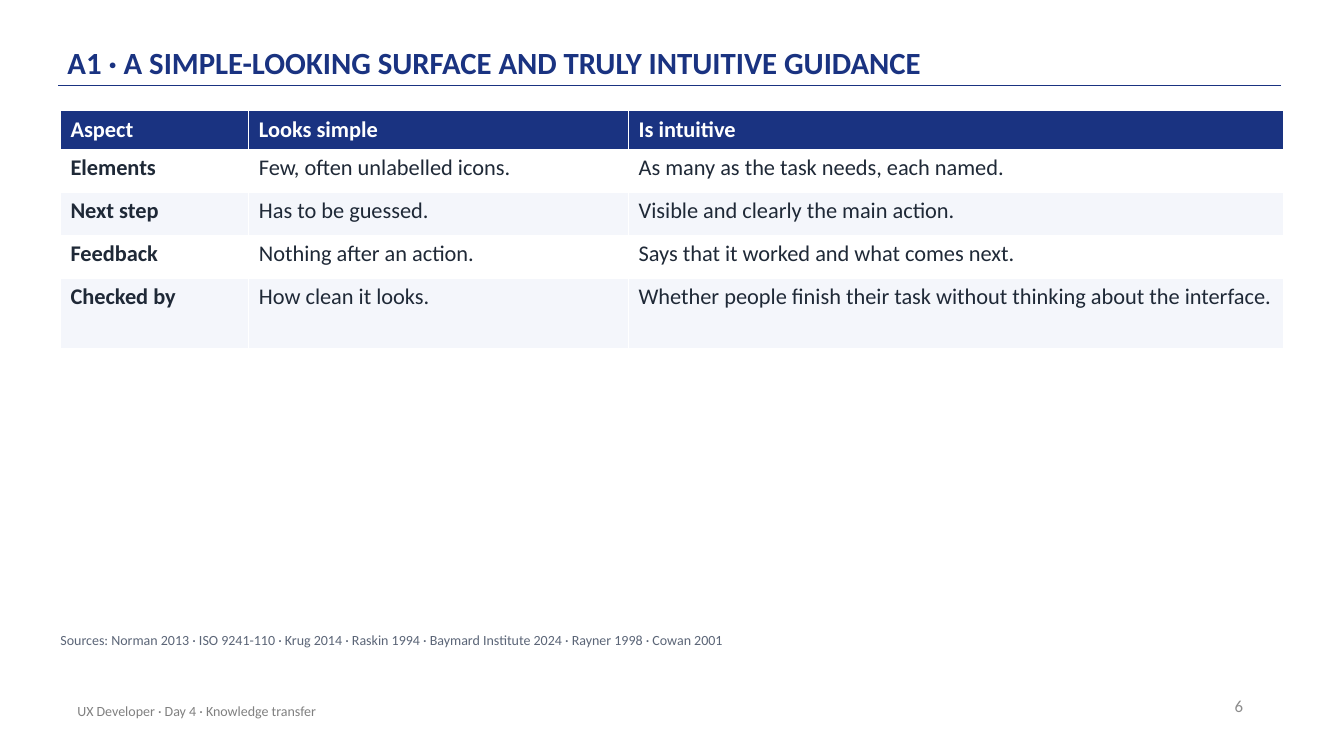
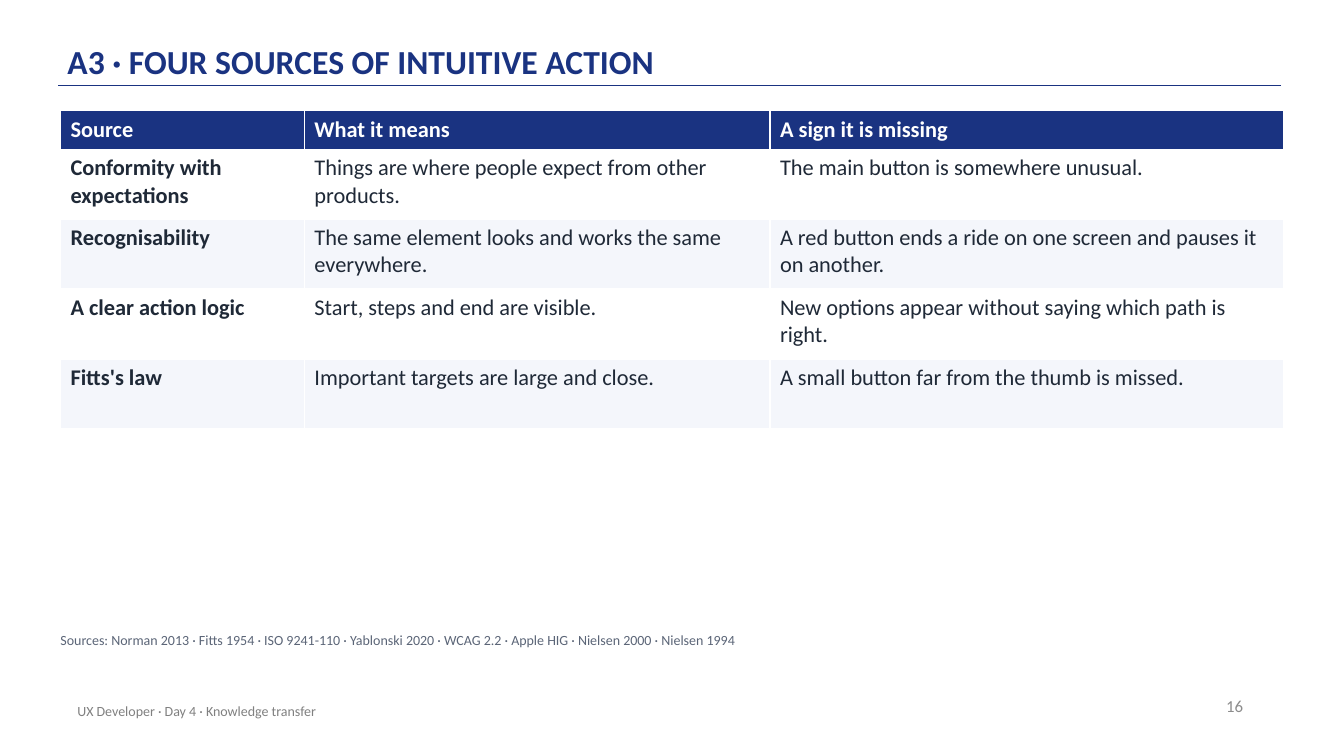
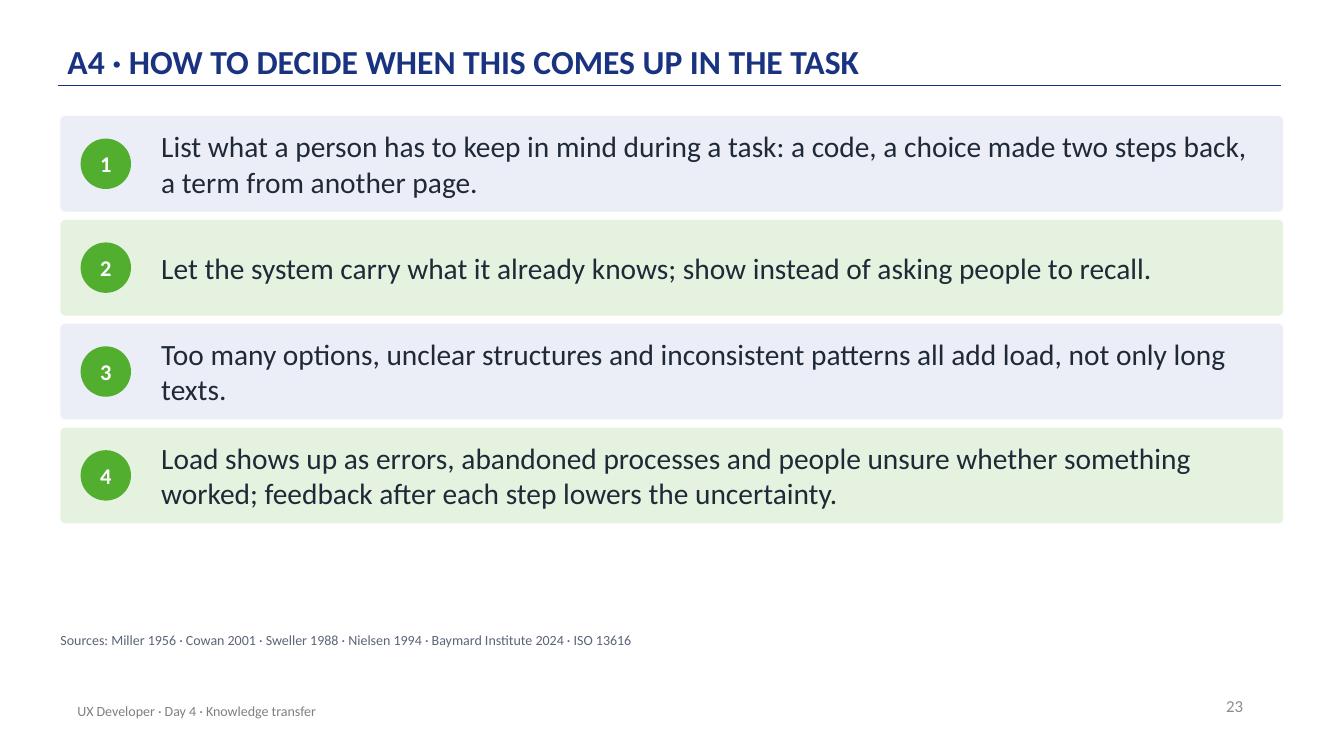
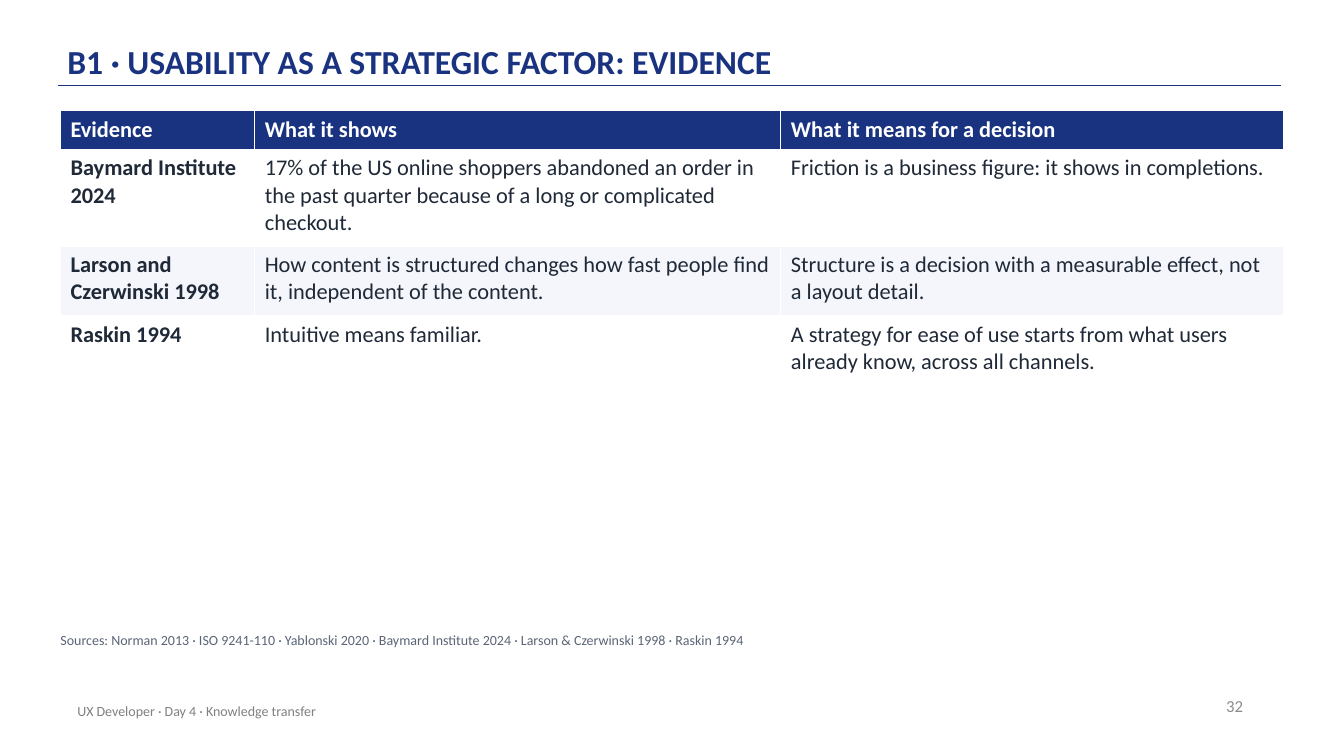
import pptx
import pptx.util
import pptx.dml.color
import pptx.enum.shapes
import pptx.enum.text
import pptx.oxml

Pt = pptx.util.Pt
RGBColor = pptx.dml.color.RGBColor
ANCHOR = pptx.enum.text.MSO_ANCHOR
ALIGN = pptx.enum.text.PP_ALIGN
SHAPE = pptx.enum.shapes.MSO_SHAPE

# Shared look
FONT = "Calibri"
NAVY = RGBColor(0x1A, 0x33, 0x81)
GREEN = RGBColor(0x51, 0xAE, 0x2F)
WHITE = RGBColor(0xFF, 0xFF, 0xFF)
INK = RGBColor(0x1F, 0x29, 0x37)
SOURCE_GREY = RGBColor(0x5B, 0x65, 0x77)
NUMBER_GREY = RGBColor(0x8C, 0x8C, 0x8C)
FOOTER_GREY = RGBColor(0x80, 0x80, 0x80)
TABLE_BANDS = [WHITE, RGBColor(0xF4, 0xF6, 0xFB)]
STEP_BANDS = [RGBColor(0xEC, 0xEE, 0xF7), RGBColor(0xE5, 0xF2, 0xDF)]

LEFT, WIDTH = 43.2, 873.4
TABLE_TOP, HEADER_HEIGHT = 79.2, 27.5
LINE_HEIGHT, ROW_PADDING = 19.2, 11.5
STEP_TOP, STEP_HEIGHT, STEP_PITCH, BADGE = 82.8, 68.4, 74.2, 36

# Content: table rows start with the number of text lines they make room for
slides = [
    {
        "title": "A1 · A SIMPLE-LOOKING SURFACE AND TRULY INTUITIVE GUIDANCE",
        "title_size": 22,
        "number": "6",
        "columns": [134.6, 271.2, 467.6],
        "header": ["Aspect", "Looks simple", "Is intuitive"],
        "rows": [
            (1, "Elements", "Few, often unlabelled icons.", "As many as the task needs, each named."),
            (1, "Next step", "Has to be guessed.", "Visible and clearly the main action."),
            (1, "Feedback", "Nothing after an action.", "Says that it worked and what comes next."),
            (2, "Checked by", "How clean it looks.",
             "Whether people finish their task without thinking about the interface."),
        ],
        "sources": "Sources: Norman 2013 · ISO 9241-110 · Krug 2014 · Raskin 1994 · "
                   "Baymard Institute 2024 · Rayner 1998 · Cowan 2001",
    },
    {
        "title": "A3 · FOUR SOURCES OF INTUITIVE ACTION",
        "title_size": 24,
        "number": "16",
        "columns": [174.2, 332.6, 366.6],
        "header": ["Source", "What it means", "A sign it is missing"],
        "rows": [
            (2, "Conformity with expectations", "Things are where people expect from other products.",
             "The main button is somewhere unusual."),
            (2, "Recognisability", "The same element looks and works the same everywhere.",
             "A red button ends a ride on one screen and pauses it on another."),
            (2, "A clear action logic", "Start, steps and end are visible.",
             "New options appear without saying which path is right."),
            (2, "Fitts's law", "Important targets are large and close.",
             "A small button far from the thumb is missed."),
        ],
        "sources": "Sources: Norman 2013 · Fitts 1954 · ISO 9241-110 · Yablonski 2020 · "
                   "WCAG 2.2 · Apple HIG · Nielsen 2000 · Nielsen 1994",
    },
    {
        "title": "A4 · HOW TO DECIDE WHEN THIS COMES UP IN THE TASK",
        "title_size": 24,
        "number": "23",
        "steps": [
            "List what a person has to keep in mind during a task: a code, a choice made two steps back, "
            "a term from another page.",
            "Let the system carry what it already knows; show instead of asking people to recall.",
            "Too many options, unclear structures and inconsistent patterns all add load, not only long texts.",
            "Load shows up as errors, abandoned processes and people unsure whether something worked; "
            "feedback after each step lowers the uncertainty.",
        ],
        "sources": "Sources: Miller 1956 · Cowan 2001 · Sweller 1988 · Nielsen 1994 · "
                   "Baymard Institute 2024 · ISO 13616",
    },
    {
        "title": "B1 · USABILITY AS A STRATEGIC FACTOR: EVIDENCE",
        "title_size": 24,
        "number": "32",
        "columns": [138.8, 375.8, 358.8],
        "header": ["Evidence", "What it shows", "What it means for a decision"],
        "rows": [
            (3, "Baymard Institute 2024",
             "17% of the US online shoppers abandoned an order in the past quarter "
             "because of a long or complicated checkout.",
             "Friction is a business figure: it shows in completions."),
            (2, "Larson and Czerwinski 1998",
             "How content is structured changes how fast people find it, independent of the content.",
             "Structure is a decision with a measurable effect, not a layout detail."),
            (3, "Raskin 1994", "Intuitive means familiar.",
             "A strategy for ease of use starts from what users already know, across all channels."),
        ],
        "sources": "Sources: Norman 2013 · ISO 9241-110 · Yablonski 2020 · Baymard Institute 2024 · "
                   "Larson & Czerwinski 1998 · Raskin 1994",
    },
]


def write(frame, text, size, color, bold=False, align=None):
    """Put one styled run into the frame's first paragraph."""
    paragraph = frame.paragraphs[0]
    if align is not None:
        paragraph.alignment = align
    run = paragraph.add_run()
    run.text = text
    run.font.name = FONT
    run.font.size = Pt(size)
    run.font.bold = bold
    run.font.color.rgb = color
    return paragraph


def text_area(slide, left, top, width, height, anchor, insets=(0, 0)):
    """Add a wrapping text box; insets are horizontal and vertical."""
    frame = slide.shapes.add_textbox(Pt(left), Pt(top), Pt(width), Pt(height)).text_frame
    frame.word_wrap = True
    frame.vertical_anchor = anchor
    frame.margin_left = frame.margin_right = Pt(insets[0])
    frame.margin_top = frame.margin_bottom = Pt(insets[1])
    return frame


deck = pptx.Presentation()
deck.slide_width, deck.slide_height = Pt(960), Pt(540)

for content in slides:
    slide = deck.slides.add_slide(deck.slide_layouts[6])

    # Title and the rule under it
    rule = slide.shapes.add_connector(
        pptx.enum.shapes.MSO_CONNECTOR.STRAIGHT, Pt(915.1), Pt(61.2), Pt(41.8), Pt(61.2))
    rule.line.color.rgb = NAVY
    rule.line.width = Pt(1)
    rule.element.spPr.append(pptx.oxml.parse_xml(
        '<a:effectLst xmlns:a="http://schemas.openxmlformats.org/drawingml/2006/main"/>'))
    title = text_area(slide, 48.2, 8.6, 792, 51.8, ANCHOR.BOTTOM, (0, 2.2))
    write(title, content["title"], content["title_size"], NAVY, True).line_spacing = 0.9

    # Page number and footer
    number = text_area(slide, 679, 489.6, 216, 28.8, ANCHOR.MIDDLE, (7.2, 3.6))
    write(number, content["number"], 12, NUMBER_GREY, align=ALIGN.RIGHT)
    footer = text_area(slide, 48.2, 493.2, 482.4, 28.8, ANCHOR.MIDDLE, (7.2, 3.6))
    write(footer, "UX Developer · Day 4 · Knowledge transfer", 10, FOOTER_GREY)

    # Comparison table
    if "rows" in content:
        heights = [HEADER_HEIGHT] + [ROW_PADDING + LINE_HEIGHT * row[0] for row in content["rows"]]
        comparison = slide.shapes.add_table(
            len(heights), len(content["columns"]),
            Pt(LEFT), Pt(TABLE_TOP), Pt(WIDTH), Pt(sum(heights))).table
        for column, width in zip(comparison.columns, content["columns"]):
            column.width = Pt(width)
        lines = [content["header"]] + [row[1:] for row in content["rows"]]
        for r, (height, texts) in enumerate(zip(heights, lines)):
            comparison.rows[r].height = Pt(height)
            for c, text in enumerate(texts):
                cell = comparison.cell(r, c)
                cell.fill.solid()
                cell.fill.fore_color.rgb = NAVY if r == 0 else TABLE_BANDS[(r - 1) % 2]
                write(cell.text_frame, text, 16, WHITE if r == 0 else INK, r == 0 or c == 0)

    # Numbered steps
    for i, step in enumerate(content.get("steps", [])):
        top = STEP_TOP + i * STEP_PITCH
        band = slide.shapes.add_shape(
            SHAPE.ROUNDED_RECTANGLE, Pt(LEFT), Pt(top), Pt(WIDTH), Pt(STEP_HEIGHT))
        band.adjustments[0] = 0.05
        badge = slide.shapes.add_shape(
            SHAPE.OVAL, Pt(57.6), Pt(top + (STEP_HEIGHT - BADGE) / 2), Pt(BADGE), Pt(BADGE))
        for part, color in ((band, STEP_BANDS[i % 2]), (badge, GREEN)):
            part.shadow.inherit = False
            part.fill.solid()
            part.fill.fore_color.rgb = color
            part.line.fill.background()
        label = badge.text_frame
        label.margin_left = label.margin_right = label.margin_top = label.margin_bottom = 0
        label.vertical_anchor = ANCHOR.MIDDLE
        write(label, str(i + 1), 16, WHITE, True, ALIGN.CENTER)
        write(text_area(slide, 115.2, top, 787, STEP_HEIGHT, ANCHOR.MIDDLE), step, 21, INK)

    # Sources
    sources = text_area(slide, LEFT, 451.4, 871.2, 21.6, ANCHOR.TOP)
    write(sources, content["sources"], 10, SOURCE_GREY).space_after = Pt(6)

deck.save("out.pptx")
